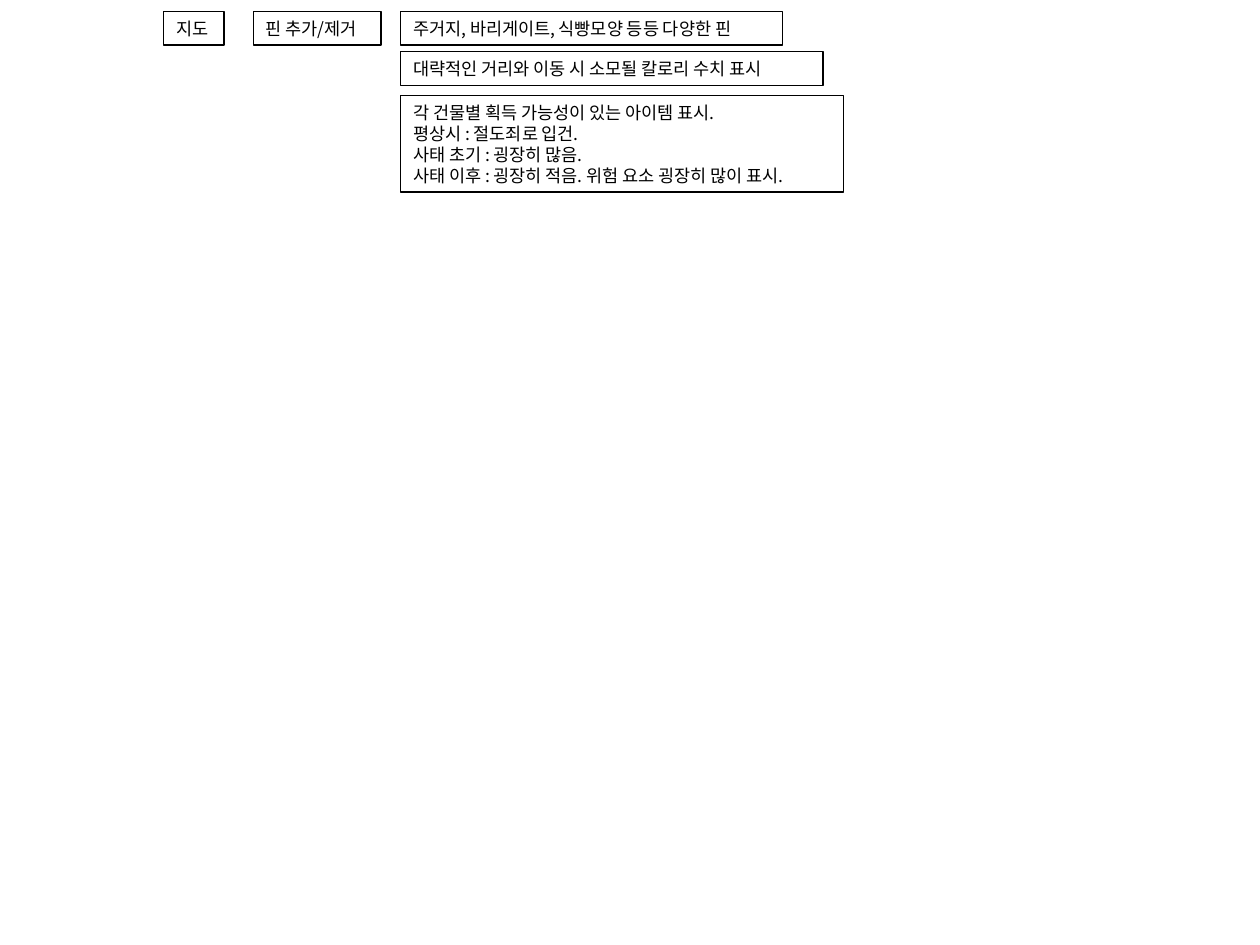
from lxml.etree import SubElement
from pptx import Presentation
from pptx.dml.color import RGBColor
from pptx.enum.text import MSO_ANCHOR, MSO_AUTO_SIZE, PP_ALIGN
from pptx.oxml.ns import qn
from pptx.util import Cm, Pt

FONT = "Noto Sans CJK KR"
LINE_HEIGHT = 0.42
INSET_X, INSET_Y = 0.25, 0.13

# Each column: left edge, then its boxes as (top, width, lines)
MAP_FEATURES = [
    (0, [(0, 1.22, ["지도"])]),
    (1.81, [(0, 2.57, ["핀 추가/제거"])]),
    (4.78, [
        (0, 7.7, ["주거지, 바리게이트, 식빵모양 등등 다양한 핀"]),
        (0.81, 8.51, ["대략적인 거리와 이동 시 소모될 칼로리 수치 표시"]),
        (1.7, 8.92, [
            "각 건물별 획득 가능성이 있는 아이템 표시.",
            "평상시 : 절도죄로 입건.",
            "사태 초기 : 굉장히 많음.",
            "사태 이후 : 굉장히 적음. 위험 요소 굉장히 많이 표시.",
        ]),
    ]),
]


def color(hex_string):
    return RGBColor.from_string(hex_string)


def write(paragraph, text, size=10, font=FONT, fill="000000", spacing=12):
    paragraph.alignment = PP_ALIGN.LEFT
    paragraph.line_spacing = Pt(spacing)
    run = paragraph.add_run()
    run.text = text
    run.font.size = Pt(size)
    run.font.color.rgb = color(fill)
    run.font.name = font
    # Korean glyphs take the East Asian font
    SubElement(run.font._element, qn("a:ea"), typeface=font)


def add_note(slide, left, top, width, lines):
    height = LINE_HEIGHT * len(lines) + 2 * INSET_Y
    note = slide.shapes.add_textbox(Cm(left), Cm(top), Cm(width), Cm(height))
    note.line.color.rgb = color("000000")
    note.line.width = Pt(0.75)
    frame = note.text_frame
    frame.word_wrap = False
    frame.auto_size = MSO_AUTO_SIZE.SHAPE_TO_FIT_TEXT
    frame.vertical_anchor = MSO_ANCHOR.TOP
    frame.margin_left = frame.margin_right = Cm(INSET_X)
    frame.margin_top = frame.margin_bottom = Cm(INSET_Y)
    for index, line in enumerate(lines):
        paragraph = frame.add_paragraph() if index else frame.paragraphs[0]
        write(paragraph, line)


def add_feature_map(slide, left, top):
    for column_left, notes in MAP_FEATURES:
        for note_top, width, lines in notes:
            add_note(slide, left + column_left, top + note_top, width, lines)


def main():
    deck = Presentation()
    deck.slide_width, deck.slide_height = Cm(25.4), Cm(19.05)
    slide = deck.slides.add_slide(deck.slide_layouts.get_by_name("Blank"))
    # Map features and their details
    add_feature_map(slide, left=3.3, top=0.23)
    deck.save("out.pptx")


if __name__ == "__main__":
    main()
